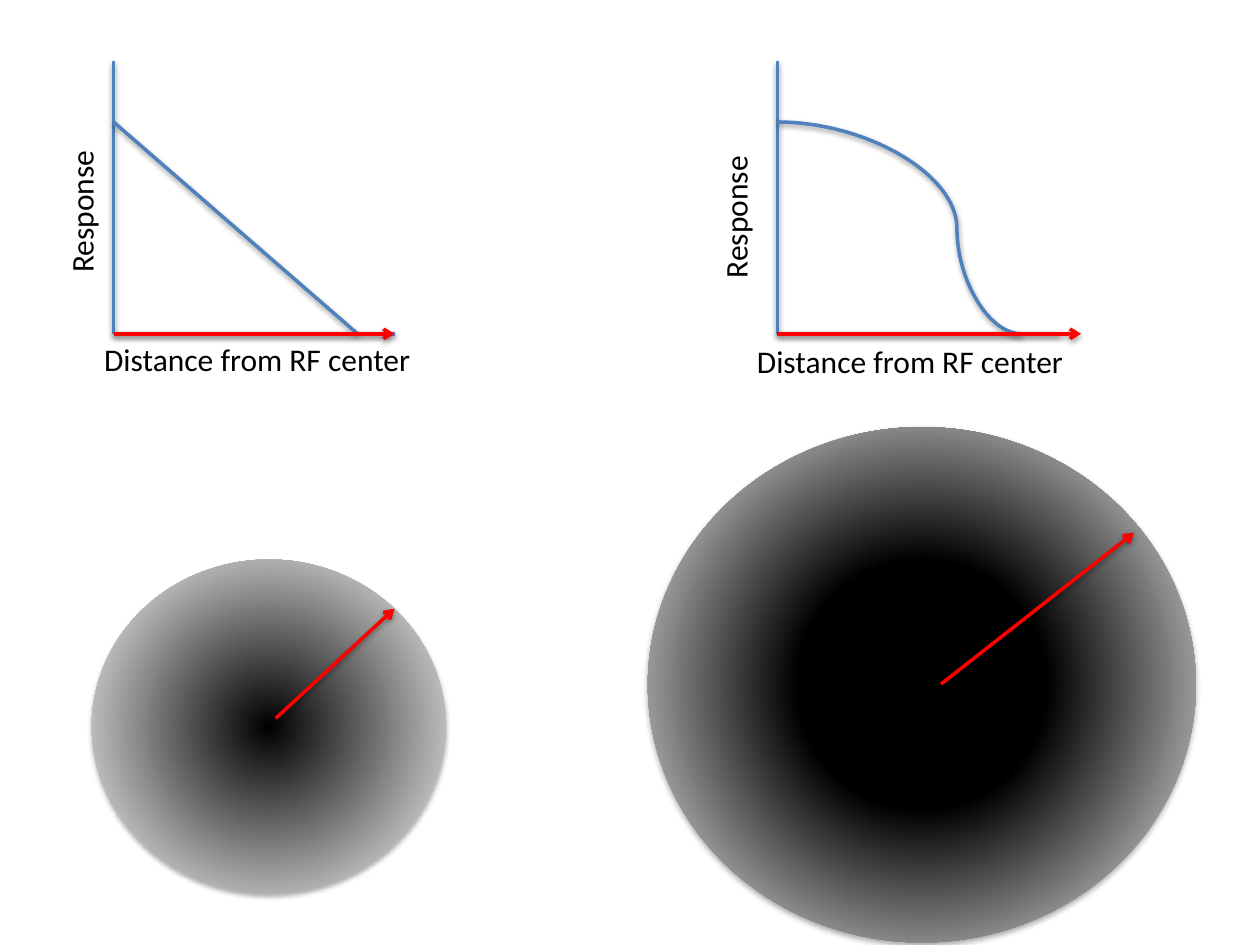
from lxml import etree
from pptx import Presentation
from pptx import util as u
from pptx.dml.color import RGBColor
from pptx.enum import shapes, text
from pptx.oxml.ns import qn

BLACK = RGBColor(0, 0, 0)
WHITE = RGBColor(255, 255, 255)
RED = RGBColor(255, 0, 0)
BLUE = RGBColor(0x4F, 0x81, 0xBD)


def add_shadow(sp, dist, alpha):
    """Put a soft black shadow straight below; dist in EMU, alpha in percent."""
    effects = etree.SubElement(sp._element.spPr, qn("a:effectLst"))
    shadow = etree.SubElement(effects, qn("a:outerShdw"), blurRad="40000",
                              dist=str(dist), dir="5400000", rotWithShape="0")
    color = etree.SubElement(shadow, qn("a:srgbClr"), val="000000")
    etree.SubElement(color, qn("a:alpha"), val=str(alpha * 1000))


def add_line(parent, points, color, kind=shapes.MSO_CONNECTOR.STRAIGHT, arrow=False):
    """Draw a shadowed line; points are x1, y1, x2, y2 in centimetres."""
    line = parent.add_connector(kind, *[u.Cm(v) for v in points])
    line.line.color.rgb = color
    line.line.width = u.Pt(2)
    if arrow:
        etree.SubElement(line.line._get_or_add_ln(), qn("a:tailEnd"), type="arrow")
    add_shadow(line, 20000, 38)
    return line


prs = Presentation()
prs.slide_width, prs.slide_height = u.Cm(25.4), u.Cm(19.05)
s = prs.slides.add_slide(prs.slide_layouts[6])

# Receptive fields: box in cm and where the gradient starts
fields = [((1.85, 11.28, 7.14, 6.73), 0), ((13.06, 8.61, 11.05, 10.39), 0.33)]
for box, start in fields:
    sp = s.shapes.add_shape(shapes.MSO_SHAPE.DONUT, *[u.Cm(v) for v in box])
    sp.adjustments[0] = 0.5
    sp.line.fill.background()
    sp.fill.gradient()
    for stop, position, color in zip(sp.fill.gradient_stops, (start, 1), (BLACK, WHITE)):
        stop.position = position
        stop.color.rgb = color
    grad = sp._element.spPr.find(qn("a:gradFill"))
    grad.remove(grad.find(qn("a:lin")))
    radial = etree.SubElement(grad, qn("a:path"), path="circle")
    etree.SubElement(radial, qn("a:fillToRect"), l="50000", t="50000", r="50000", b="50000")
    add_shadow(sp, 23000, 35)

# Radius arrows
for points in [(5.56, 14.48, 7.95, 12.27), (18.97, 13.79, 22.86, 10.74)]:
    add_line(s.shapes, points, RED, arrow=True)

# Response plots
axis_top, curve_top, base = 1.22, 2.46, 6.73
axis_length, curve_length = 5.68, 4.92
plots = [
    (2.29, shapes.MSO_CONNECTOR.STRAIGHT, (0.13, 3.73), (1.85, 6.73)),
    (15.67, shapes.MSO_CONNECTOR.CURVE, (13.31, 3.84), (15.01, 6.78)),
]
for x, kind, response_at, distance_at in plots:
    group = s.shapes.add_group_shape().shapes
    add_line(group, (x, base, x + axis_length, base), BLUE)
    add_line(group, (x, base, x, axis_top), BLUE)
    curve = add_line(group, (x, curve_top, x + curve_length, base), BLUE, kind)
    if kind == shapes.MSO_CONNECTOR.CURVE:
        guides = curve._element.spPr.find(qn("a:prstGeom")).get_or_add_avLst()
        etree.SubElement(guides, qn("a:gd"), name="adj1", fmla="val 73600")

    labels = [("Response", response_at, 3.02, 270),
              ("Distance from RF center", distance_at, 6.78, 0)]
    for label, (left, top), width, rotation in labels:
        tb = group.add_textbox(u.Cm(left), u.Cm(top), u.Cm(width), u.Cm(1.02))
        tb.rotation = rotation
        tf = tb.text_frame
        tf.word_wrap = False
        tf.auto_size = text.MSO_AUTO_SIZE.SHAPE_TO_FIT_TEXT
        r = tf.paragraphs[0].add_run()
        r.text = label
        r.font.name = "Calibri"
        r.font.size = u.Pt(18)
        r.font.color.rgb = BLACK

# Distance arrows over the horizontal axes
for x, end in [(2.29, 7.95), (15.67, 21.79)]:
    add_line(s.shapes, (x, base, end, base), RED, arrow=True)

prs.save("out.pptx")
